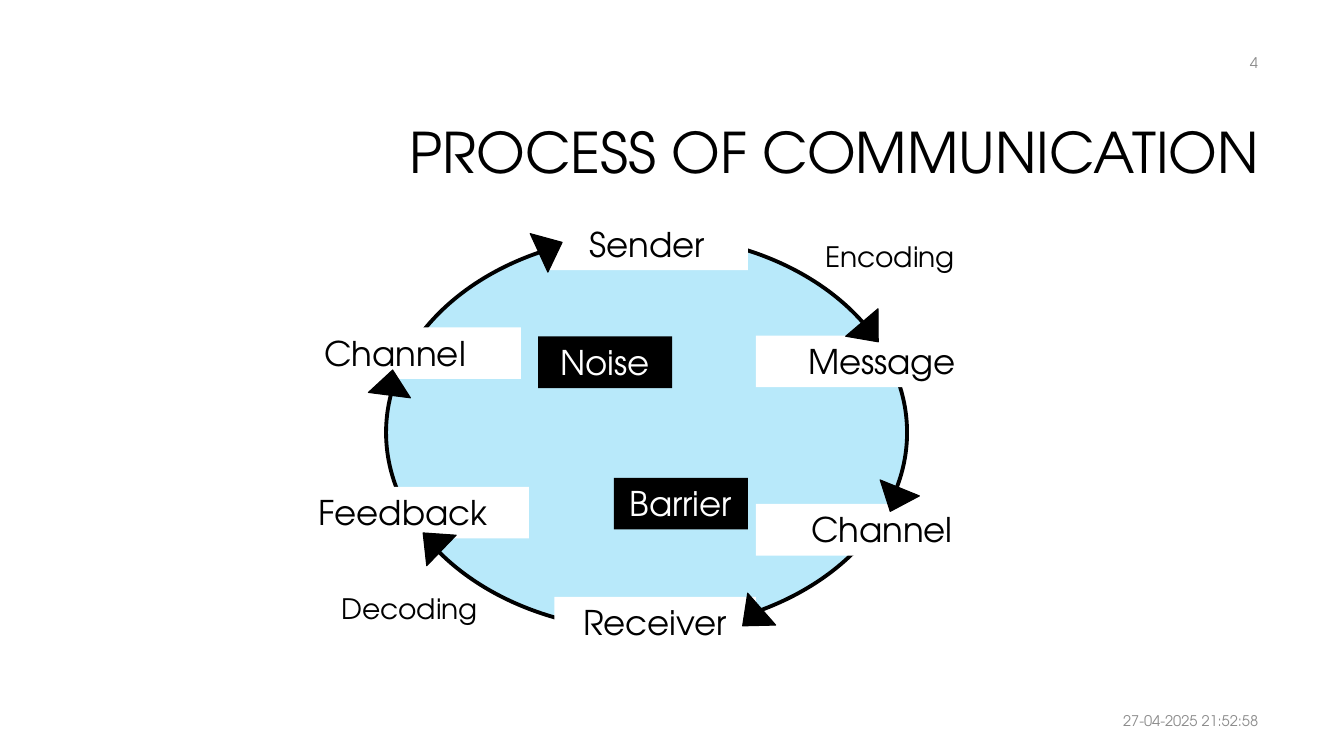
from lxml import etree
from pptx import Presentation
from pptx.dml.color import RGBColor
from pptx.enum.shapes import MSO_SHAPE as Shape
from pptx.enum.text import MSO_ANCHOR as Anchor, MSO_AUTO_SIZE as AutoSize, PP_ALIGN as Align
from pptx.oxml.ns import qn
from pptx.util import Cm, Pt

FONT = "TeX Gyre Adventor"
BLACK = RGBColor(0x00, 0x00, 0x00)
WHITE = RGBColor(0xFF, 0xFF, 0xFF)
SKY = RGBColor(0x00, 0xB0, 0xF0)
GREY = RGBColor(0x8C, 0x8C, 0x8C)

LABEL_HEIGHT = 1.3
STEP_NAMES = [  # text, left, top, width
    ("Sender", 13.77, 5.51, 5.08),
    ("Channel", 19.05, 12.7, 6.35),
    ("Receiver", 13.97, 15.04, 5.08),
    ("Feedback", 6.98, 12.27, 6.35),
    ("Channel", 6.78, 8.25, 6.35),
    ("Message", 19.05, 8.46, 6.35),
]
DISTURBANCES = [("Noise", 13.56, 8.48, 3.38), ("Barrier", 15.47, 12.04, 3.38)]
CODING_NOTES = [("Encoding", 19.46, 5.92, 5.94), ("Decoding", 7.49, 14.78, 5.66)]
ARROWHEADS = [  # left, top, rotation
    (21.39, 8.05, 139.6),
    (22.02, 12.27, 202.1),
    (18.42, 15.24, 228.7),
    (10.36, 13.33, 313.9),
    (9.32, 9.32, 7.3),
    (13.34, 5.92, 65.4),
]


def write(frame, text, size, color, align, **frame_format):
    frame.text = text
    for name, value in {"word_wrap": True, **frame_format}.items():
        setattr(frame, name, value)
    paragraph = frame.paragraphs[0]
    paragraph.alignment = align
    font = paragraph.runs[0].font
    for name, value in {"name": FONT, "size": Pt(size)}.items():
        setattr(font, name, value)
    font.color.rgb = color
    return paragraph


def add_filled(slide, kind, box, fill, line_width=None):
    """Add a preset shape; without a line width it has no outline."""
    filled = slide.shapes.add_shape(kind, *map(Cm, box))
    filled.shadow.inherit = False
    filled.fill.solid()
    filled.fill.fore_color.rgb = fill
    if line_width is None:
        filled.line.fill.background()
    else:
        filled.line.color.rgb = BLACK
        filled.line.width = Pt(line_width)
    return filled


def add_cycle(slide):
    cycle = add_filled(slide, Shape.OVAL, (9.73, 5.92, 13.13, 9.96), SKY, 2.75)
    color = cycle.fill._xPr.find(qn("a:solidFill"))[0]
    etree.SubElement(color, qn("a:alpha"), val="28000")


def add_label(slide, text, left, top, width, fill, color):
    label = add_filled(slide, Shape.RECTANGLE, (left, top, width, LABEL_HEIGHT), fill)
    write(label.text_frame, text, 24.3, color, Align.CENTER,
          vertical_anchor=Anchor.TOP, auto_size=AutoSize.SHAPE_TO_FIT_TEXT)


def add_note(slide, text, box, size, color, align, **frame_format):
    note = slide.shapes.add_textbox(*map(Cm, box))
    write(note.text_frame, text, size, color, align, **frame_format)


def add_arrowhead(slide, left, top, rotation):
    arrowhead = add_filled(slide, Shape.ISOSCELES_TRIANGLE, (left, top, 1.07, 0.64), BLACK, 0.75)
    arrowhead.rotation = rotation


def set_title(slide, text):
    title = slide.shapes.title
    place = {"left": 8.05, "top": 2.13, "width": 23.93, "height": 3.58}
    for name, value in place.items():
        setattr(title, name, Cm(value))
    paragraph = write(title.text_frame, text, 40, BLACK, Align.RIGHT,
                      vertical_anchor=Anchor.MIDDLE, auto_size=AutoSize.NONE)
    paragraph.line_spacing = 0.9


def main():
    deck = Presentation()
    deck.slide_width, deck.slide_height = Cm(33.87), Cm(19.05)
    slide = deck.slides.add_slide(deck.slide_layouts[5])

    set_title(slide, "PROCESS OF COMMUNICATION")
    add_cycle(slide)
    for step in STEP_NAMES:
        add_label(slide, *step, WHITE, BLACK)
    for text, left, top, width in CODING_NOTES:
        add_note(slide, text, (left, top, width, 1.12), 20.1, BLACK, Align.CENTER,
                 auto_size=AutoSize.SHAPE_TO_FIT_TEXT)
    for arrowhead in ARROWHEADS:
        add_arrowhead(slide, *arrowhead)
    for disturbance in DISTURBANCES:
        add_label(slide, *disturbance, BLACK, WHITE)
    for text, box in [("27-04-2025 21:52:58", (23.88, 17.65, 8.08, 1.02)),
                      ("4", (24.33, 1.07, 7.62, 1.02))]:
        add_note(slide, text, box, 10.5, GREY, Align.RIGHT, vertical_anchor=Anchor.MIDDLE)

    deck.save("out.pptx")


if __name__ == "__main__":
    main()
